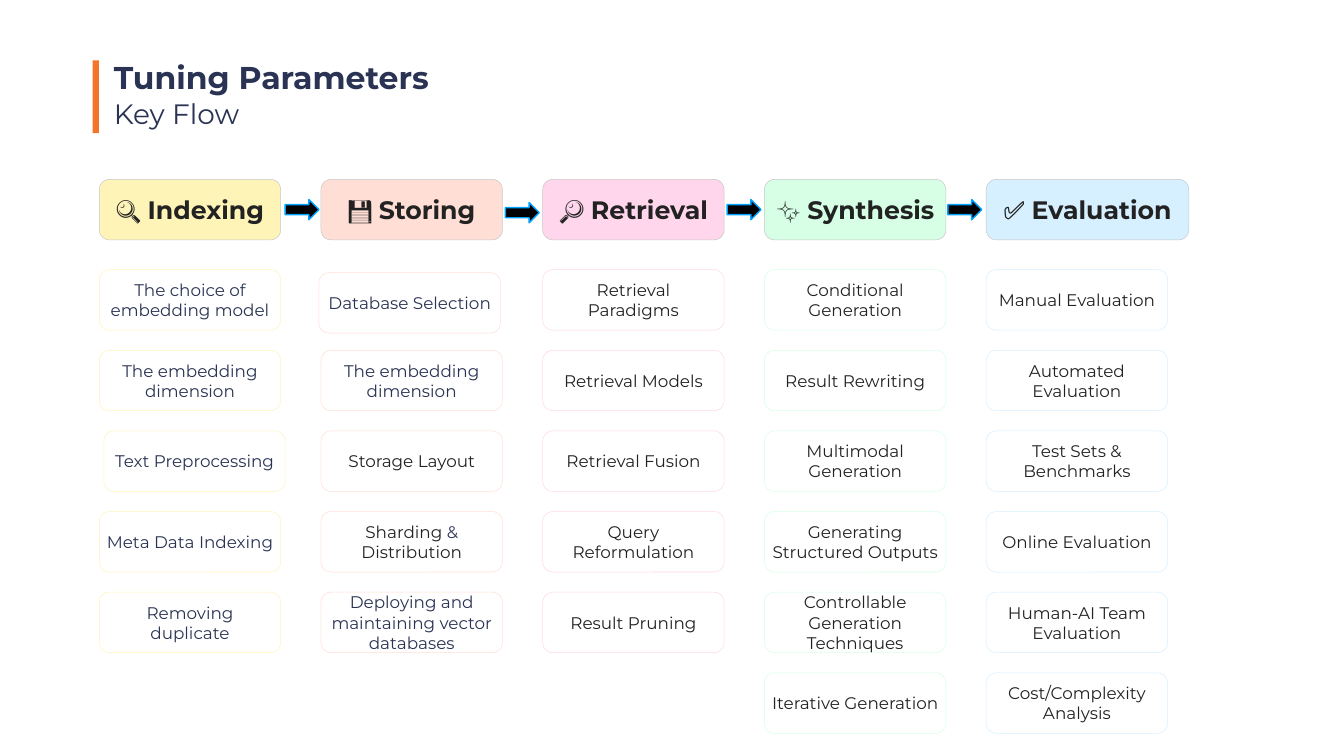
from dataclasses import dataclass

from pptx import Presentation
from pptx.dml.color import RGBColor
from pptx.enum.shapes import MSO_SHAPE
from pptx.enum.text import MSO_ANCHOR, MSO_AUTO_SIZE, PP_ALIGN
from pptx.util import Inches, Pt


@dataclass(frozen=True)
class Theme:
    navy: str = "2A3353"
    ink: str = "222222"
    white: str = "FFFFFF"
    accent: str = "F47429"
    heading_line: str = "C8C8C8"
    arrow_fill: str = "000000"
    arrow_line: str = "00A2FF"
    font: str = "Montserrat"
    icon_font: str = "Roboto"
    title_size: int = 45
    subtitle_size: int = 40
    heading_size: int = 36
    item_size: int = 24


theme = Theme()


def add_block(preset, left, top, width, height, fill, line=None, line_width=0.75):
    block = page.shapes.add_shape(
        preset, Inches(left), Inches(top), Inches(width), Inches(height))
    block.shadow.inherit = False
    block.fill.solid()
    block.fill.fore_color.rgb = RGBColor.from_string(fill)
    if line:
        block.line.color.rgb = RGBColor.from_string(line)
        block.line.width = Pt(line_width)
    else:
        block.line.fill.background()
    return block


def write(box, spans, size, align, inset, bold=False, anchor=MSO_ANCHOR.MIDDLE):
    """Fill the box with one paragraph of (text, font, colour) spans."""
    frame = box.text_frame
    frame.word_wrap = True
    frame.auto_size = MSO_AUTO_SIZE.NONE
    frame.vertical_anchor = anchor
    frame.margin_left = frame.margin_right = Inches(inset)
    frame.margin_top = frame.margin_bottom = Inches(0.06)
    para = frame.paragraphs[0]
    para.alignment = align
    for text, font, color in spans:
        span = para.add_run()
        span.text = text
        span.font.name = font
        span.font.size = Pt(size)
        span.font.bold = bold
        span.font.color.rgb = RGBColor.from_string(color)
    return para


deck = Presentation()
deck.slide_width, deck.slide_height = Inches(26.67), Inches(15)
page = deck.slides.add_slide(deck.slide_layouts[5])

# Title block
add_block(MSO_SHAPE.RECTANGLE, 1.84, 1.2, 0.12, 1.44, theme.accent)
title = page.shapes.title
title.left, title.top = Inches(2.2), Inches(1.08)
title.width, title.height = Inches(22.26), Inches(0.89)
write(title, [("Tuning Parameters", theme.font, theme.navy)],
      theme.title_size, PP_ALIGN.LEFT, 0.06, bold=True)
subtitle = page.shapes.add_textbox(Inches(2.2), Inches(1.94), Inches(22.26), Inches(0.73))
para = write(subtitle, [("Key Flow", theme.font, theme.navy)],
             theme.subtitle_size, PP_ALIGN.LEFT, 0.06, anchor=MSO_ANCHOR.TOP)
para.line_spacing = 0.9

# Stages: icon, name, colour, heading width, items as spans of (text, colour)
navy, ink = theme.navy, theme.ink
stages = [
    ("🔍", "Indexing", "FFF4B8", 3.6, [
        [("The choice of embedding model", navy)],
        [("The embedding dimension", navy)],
        [("Text Preprocessing", navy)],
        [("Meta Data Indexing", navy)],
        [("Removing duplicate", navy)]]),
    ("💾", "Storing", "FFDED6", 3.6, [
        [("Database Selection", navy)],
        [("The embedding dimension", navy)],
        [("Storage Layout", ink)],
        [("Sharding ", ink), ("& ", navy), ("Distribution", ink)],
        [("Deploying and maintaining vector databases", navy)]]),
    ("🔎", "Retrieval", "FFD6EB", 3.6, [
        [("Retrieval Paradigms", ink)],
        [("Retrieval Models", ink)],
        [("Retrieval Fusion", ink)],
        [("Query Reformulation", ink)],
        [("Result Pruning", ink)]]),
    ("✨", "Synthesis", "D6FFE6", 3.6, [
        [("Conditional Generation", ink)],
        [("Result Rewriting", ink)],
        [("Multimodal Generation", ink)],
        [("Generating Structured Outputs", ink)],
        [("Controllable Generation Techniques", ink)],
        [("Iterative Generation", ink)]]),
    ("✅", "Evaluation", "D6F0FF", 4.02, [
        [("Manual Evaluation", ink)],
        [("Automated Evaluation", ink)],
        [("Test Sets & Benchmarks", ink)],
        [("Online Evaluation", ink)],
        [("Human-AI Team Evaluation", ink)],
        [("Cost/Complexity Analysis", ink)]]),
]
first_left, column_step = 1.97, 4.4
heading_top, first_item_top, row_step = 3.56, 5.35, 1.6
item_width, box_height, box_inset = 3.6, 1.2, 0.08
nudges = {(0, 2): (0.09, 0), (1, 0): (-0.04, 0.06)}  # (column, row): (right, down)

for column, (icon, name, color, heading_width, items) in enumerate(stages):
    left = first_left + column * column_step
    heading = add_block(MSO_SHAPE.ROUNDED_RECTANGLE, left, heading_top,
                        heading_width, box_height, color, theme.heading_line)
    write(heading, [(icon + " ", theme.icon_font, ink), (name, theme.font, ink)],
          theme.heading_size, PP_ALIGN.CENTER, box_inset, bold=True)
    for row, spans in enumerate(items):
        right, down = nudges.get((column, row), (0, 0))
        item = add_block(MSO_SHAPE.ROUNDED_RECTANGLE, left + right,
                         first_item_top + row * row_step + down,
                         item_width, box_height, theme.white, color)
        write(item, [(text, theme.font, shade) for text, shade in spans],
              theme.item_size, PP_ALIGN.CENTER, box_inset)

# Arrows between the headings
for left, top in [(5.66, 3.96), (10.03, 4.02), (14.43, 3.96), (18.81, 3.96)]:
    add_block(MSO_SHAPE.RIGHT_ARROW, left, top, 0.67, 0.4,
              theme.arrow_fill, theme.arrow_line, 2)

deck.save("out.pptx")
